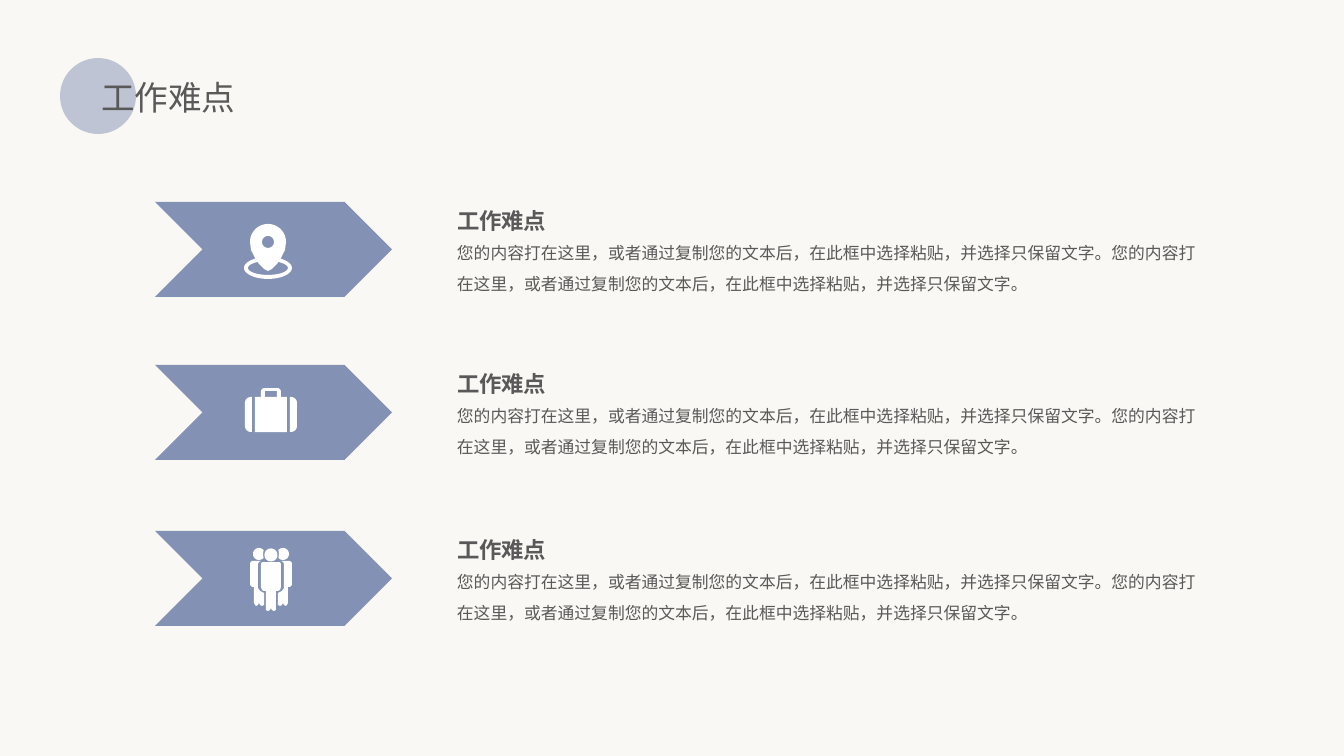
from math import cos, radians, sin

from lxml import etree
from pptx import Presentation
from pptx import util as u
from pptx.dml.color import RGBColor
from pptx.enum import shapes, text
from pptx.oxml import ns

SLIDE_W, SLIDE_H = 1344, 756
EMU_PER_PX = 12192000 / SLIDE_W

BACKGROUND = RGBColor(0xFA, 0xF8, 0xF4)
BLUE = RGBColor(0x83, 0x92, 0xB4)
GREY = RGBColor(0x59, 0x59, 0x59)
WHITE = RGBColor(0xFF, 0xFF, 0xFF)
FONT = "Noto Sans CJK SC"

HEADING = "工作难点"
DETAIL = ("您的内容打在这里，或者通过复制您的文本后，在此框中选择粘贴，并选择只保留文字。"
          "您的内容打在这里，或者通过复制您的文本后，在此框中选择粘贴，并选择只保留文字。")


def px(length):
    return u.Emu(round(length * EMU_PER_PX))


def box(*lengths):
    return [px(length) for length in lengths]


def paint(shape, color):
    shape.shadow.inherit = False
    shape.fill.solid()
    shape.fill.fore_color.rgb = color
    shape.line.fill.background()


def write(frame, words, size, bold=False):
    frame.text = words
    paragraph = frame.paragraphs[0]
    paragraph.alignment = text.PP_ALIGN.LEFT
    font = paragraph.font
    font.name, font.size, font.bold = FONT, u.Pt(size), bold
    font.color.rgb = GREY
    east_asian = etree.SubElement(font._element, ns.qn("a:ea"))
    east_asian.set("typeface", FONT)
    return paragraph


# Icon outlines: points in px, measured from the icon's origin
def arc(cx, cy, rx, ry, start=0, end=360):
    steps = 32
    angles = [radians(start + (end - start) * i / steps) for i in range(steps + 1)]
    return [(cx + rx * cos(a), cy + ry * sin(a)) for a in angles]


def mirror(points):
    return [(-x, y) for x, y in reversed(points)]


def draw_outline(icon, left, top, *contours):
    placed = [[(px(left + x), px(top + y)) for x, y in c] for c in contours]
    builder = icon.shapes.build_freeform(*placed[0][0], scale=1.0)
    for i, points in enumerate(placed):
        if i:
            builder.move_to(*points[0])
        builder.add_line_segments(points[1:], close=True)
    paint(builder.convert_to_shape(), WHITE)


def draw_pin(icon, left, top):
    tail = [(17, 48), (13, 56), (9, 62), (4, 67), (0, 69)]
    head = arc(0, 40, 18, 18, 180, 360)
    left -= 3
    draw_outline(icon, left, top, arc(0, 66, 24, 11), arc(0, 66, 20, 7))
    draw_outline(icon, left, top, head + tail + mirror(tail), arc(0, 40, 6, 6))


def draw_suitcase(icon, left, top):
    side = [(19, 32)] + arc(20, 38, 6, 6, 270, 360) + arc(20, 61, 6, 6, 0, 90) + [(19, 67)]
    half_body = [(0, 23), (7, 23), (9, 24), (10, 26), (10, 32), (16, 32), (16, 67)]
    handle_gap = [(-6, 26), (6, 26), (6, 32), (-6, 32)]
    for half in (side, mirror(side)):
        draw_outline(icon, left, top, half)
    draw_outline(icon, left, top, half_body + mirror(half_body), handle_gap)


def draw_people(icon, left, top):
    front_half = [(7, 31), (9, 31), (10, 33), (10, 56), (9, 59), (7, 60), (5, 60),
                  (5, 77), (5, 79), (3, 80), (1, 79), (0, 77)]
    back_head = arc(-12, 23, 6, 6, 40, 320) + [(-8, 23)]
    back_body = [(-19, 30), (-10, 30), (-12, 31), (-13, 33), (-13, 57), (-11, 60),
                 (-7, 62), (-7, 74), (-9, 75), (-11, 74), (-12, 72), (-13, 74),
                 (-15, 75), (-16, 74), (-17, 72), (-17, 56), (-19, 56), (-21, 54),
                 (-21, 32), (-20, 31)]
    for part in (back_head, back_body):
        draw_outline(icon, left, top, part)
        draw_outline(icon, left, top, mirror(part))
    draw_outline(icon, left, top, arc(0, 24, 6.5, 6.5))
    draw_outline(icon, left, top, front_half + mirror(front_half))


# Title over a half-transparent circle
def add_title(slide, left, top):
    circle = slide.shapes.add_shape(shapes.MSO_SHAPE.OVAL, *box(left, top, 76, 76))
    paint(circle, BLUE)
    color = circle.fill._xPr.find(".//" + ns.qn("a:srgbClr"))
    etree.SubElement(color, ns.qn("a:alpha")).set("val", "50000")

    title = slide.shapes.title
    title.left, title.top, title.width, title.height = box(left + 31, top + 14, 156, 50)
    write(title.text_frame, HEADING, 24)
    title.text_frame.word_wrap = False
    title.text_frame.auto_size = text.MSO_AUTO_SIZE.NONE
    title.text_frame.vertical_anchor = text.MSO_ANCHOR.TOP
    title._element.addprevious(circle._element)


def add_words(slide, bounds, words, size, bold=False):
    frame = slide.shapes.add_textbox(*box(*bounds)).text_frame
    frame.margin_left = frame.margin_top = frame.margin_right = frame.margin_bottom = 0
    frame.word_wrap = True
    return write(frame, words, size, bold)


# One difficulty: arrow with icon, heading and detail
def add_difficulty(slide, left, top, draw_icon):
    arrow = slide.shapes.add_shape(shapes.MSO_SHAPE.CHEVRON, *box(left, top, 237, 95))
    paint(arrow, BLUE)
    draw_icon(slide.shapes.add_group_shape(), left + 116, top)
    add_words(slide, (left + 302, top + 5, 99, 27), HEADING, 16, bold=True)
    detail = add_words(slide, (left + 302, top + 31, 744, 57), DETAIL, 12)
    detail.line_spacing = 1.5


def main():
    deck = Presentation()
    deck.slide_width, deck.slide_height = box(SLIDE_W, SLIDE_H)
    slide = deck.slides.add_slide(deck.slide_layouts[5])
    slide.background.fill.solid()
    slide.background.fill.fore_color.rgb = BACKGROUND

    add_title(slide, 60, 58)
    for top, draw_icon in ((202, draw_pin), (365, draw_suitcase), (531, draw_people)):
        add_difficulty(slide, 155, top, draw_icon)
    deck.save("out.pptx")


if __name__ == "__main__":
    main()
